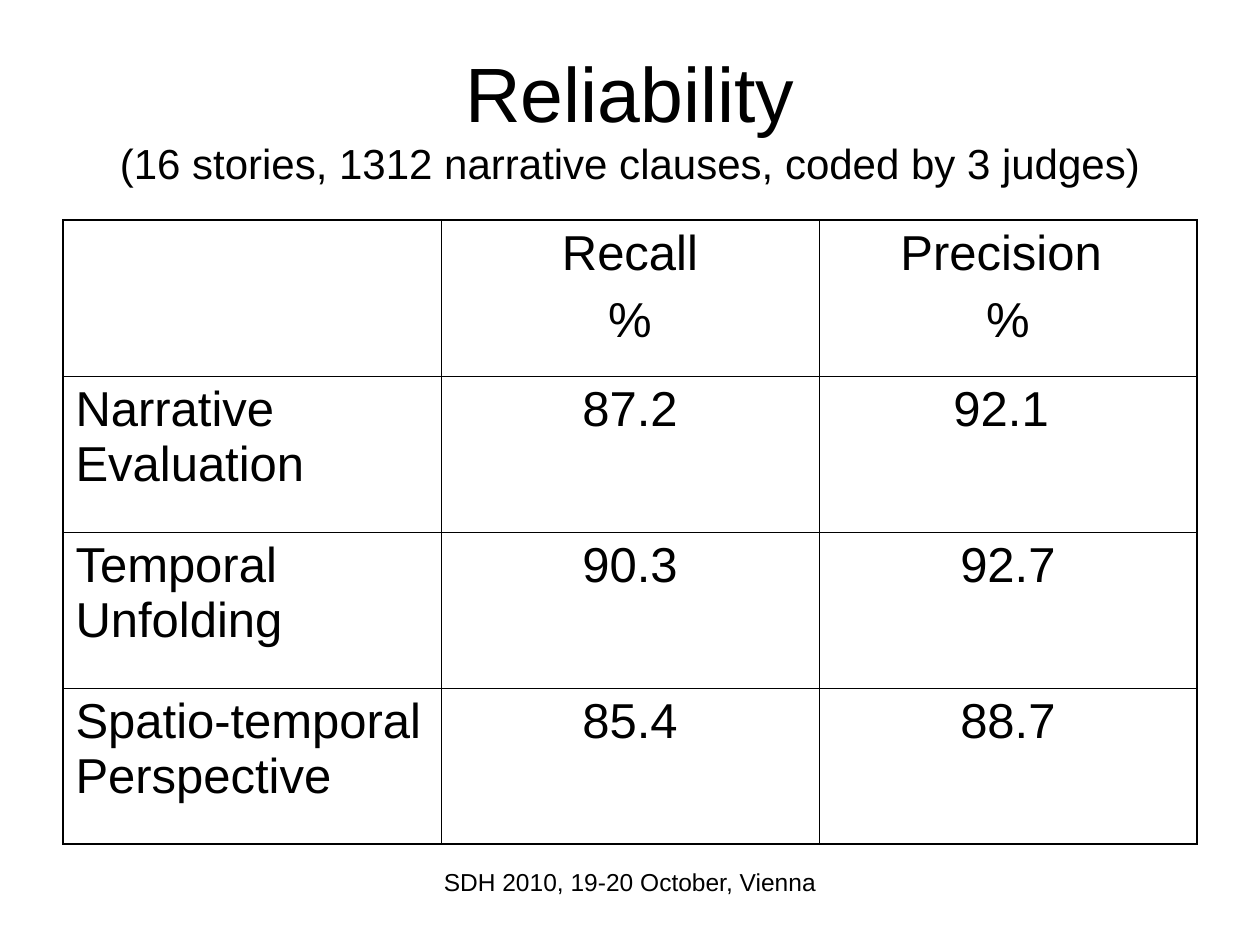
from dataclasses import dataclass

from lxml import etree
from pptx import Presentation
from pptx.dml.color import RGBColor
from pptx.enum.text import MSO_ANCHOR, PP_ALIGN
from pptx.oxml.ns import qn
from pptx.util import Emu, Pt

LEFT, CENTER = PP_ALIGN.LEFT, PP_ALIGN.CENTER
TOP, MIDDLE = MSO_ANCHOR.TOP, MSO_ANCHOR.MIDDLE
EMU_PER_PX = 914400 // 126


@dataclass(frozen=True)
class Theme:
    font: str = "Arial"
    ink: str = "000000"
    paper: str = "FFFFFF"
    title: int = 44
    subtitle: int = 24
    cell: int = 28
    footer: int = 14
    cell_gap: int = 7
    inner_line: float = 0.45
    outer_line: float = 1.08


THEME = Theme()

RELIABILITY = [
    [[], ["Recall", "%"], ["Precision ", "%"]],
    [["Narrative Evaluation"], ["87.2"], ["92.1 "]],
    [["Temporal Unfolding"], ["90.3"], ["92.7"]],
    [["Spatio-temporal Perspective"], ["85.4"], ["88.7"]],
]


def px(n):
    return Emu(n * EMU_PER_PX)


def write(tf, paragraphs, align=LEFT, gap=0):
    """Fill a frame; a paragraph is a list of (text, size) lines."""
    for i, lines in enumerate(paragraphs):
        p = tf.paragraphs[0] if i == 0 else tf.add_paragraph()
        p.alignment = align
        if i:
            p.space_before = Pt(gap)
        for j, (text, size) in enumerate(lines):
            if j:
                p.add_line_break()
            r = p.add_run()
            r.text = text
            r.font.name = THEME.font
            r.font.size = Pt(size)
            r.font.color.rgb = RGBColor.from_string(THEME.ink)


def add_text(slide, x, y, w, h, lines, anchor=TOP):
    tf = slide.shapes.add_textbox(px(x), px(y), px(w), px(h)).text_frame
    tf.word_wrap = True
    tf.vertical_anchor = anchor
    write(tf, [lines], align=CENTER)


def set_borders(cell, outer):
    """Rule all four sides, thicker on those named in outer."""
    tcPr = cell._tc.get_or_add_tcPr()
    for i, side in enumerate("LRTB"):
        width = THEME.outer_line if side in outer else THEME.inner_line
        ln = etree.Element(qn(f"a:ln{side}"), w=str(Pt(width)))
        fill = etree.SubElement(ln, qn("a:solidFill"))
        etree.SubElement(fill, qn("a:srgbClr"), val=THEME.ink)
        tcPr.insert(i, ln)


def add_table(slide, x, y, w, h, rows):
    n_rows, n_cols = len(rows), len(rows[0])
    table = slide.shapes.add_table(n_rows, n_cols, px(x), px(y), px(w), px(h)).table
    table.first_row = table.horz_banding = False
    for r, row in enumerate(rows):
        for c, texts in enumerate(row):
            cell = table.cell(r, c)
            cell.fill.background()
            write(cell.text_frame, [[(text, THEME.cell)] for text in texts],
                  align=CENTER if c else LEFT, gap=THEME.cell_gap)
            edges = {"L": c == 0, "R": c == n_cols - 1,
                     "T": r == 0, "B": r == n_rows - 1}
            set_borders(cell, [side for side, on in edges.items() if on])


def main():
    prs = Presentation()
    prs.slide_width, prs.slide_height = px(1260), px(945)
    slide = prs.slides.add_slide(prs.slide_layouts[6])
    slide.background.fill.solid()
    slide.background.fill.fore_color.rgb = RGBColor.from_string(THEME.paper)

    add_text(slide, 430, 861, 400, 65,
             [("SDH 2010, 19-20 October, Vienna", THEME.footer)])
    add_text(slide, 63, 38, 1134, 157,
             [("Reliability", THEME.title),
              ("(16 stories, 1312 narrative clauses, coded by 3 judges)", THEME.subtitle)],
             anchor=MIDDLE)
    add_table(slide, 63, 220, 1134, 624, RELIABILITY)
    prs.save("out.pptx")


if __name__ == "__main__":
    main()
